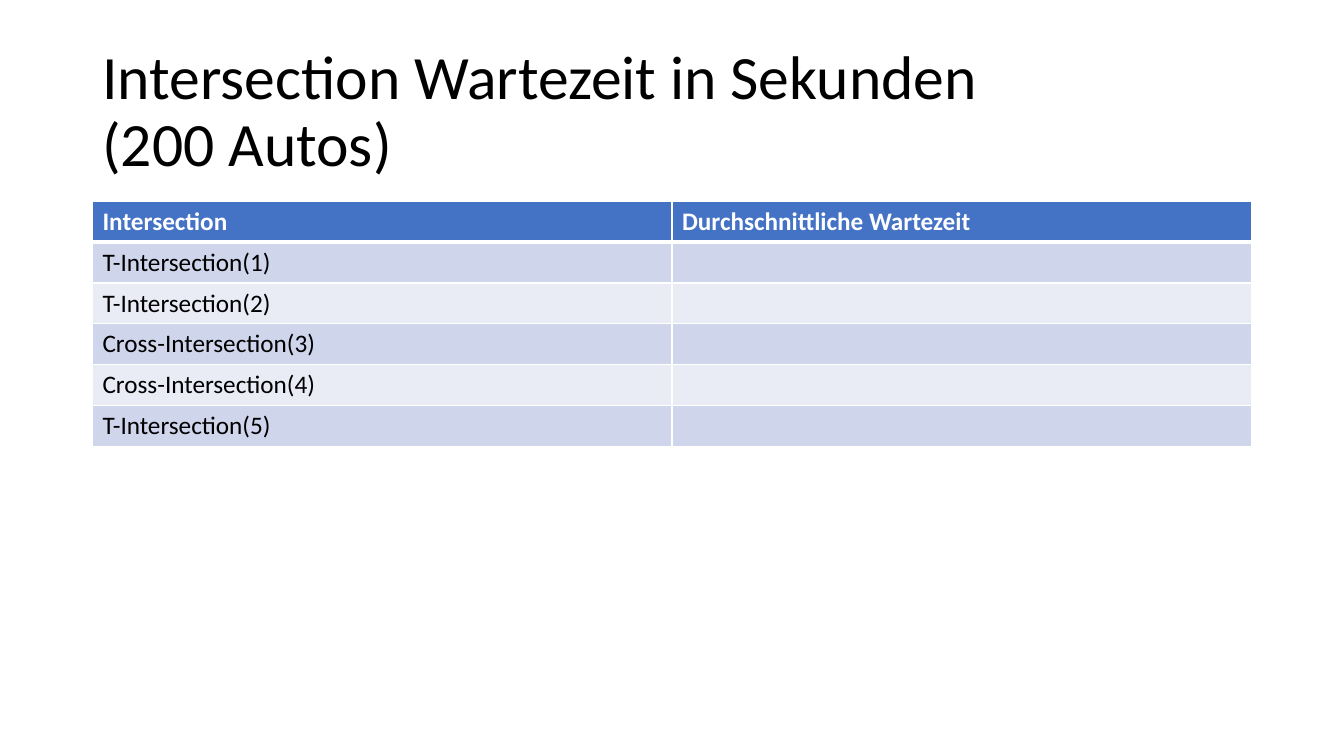
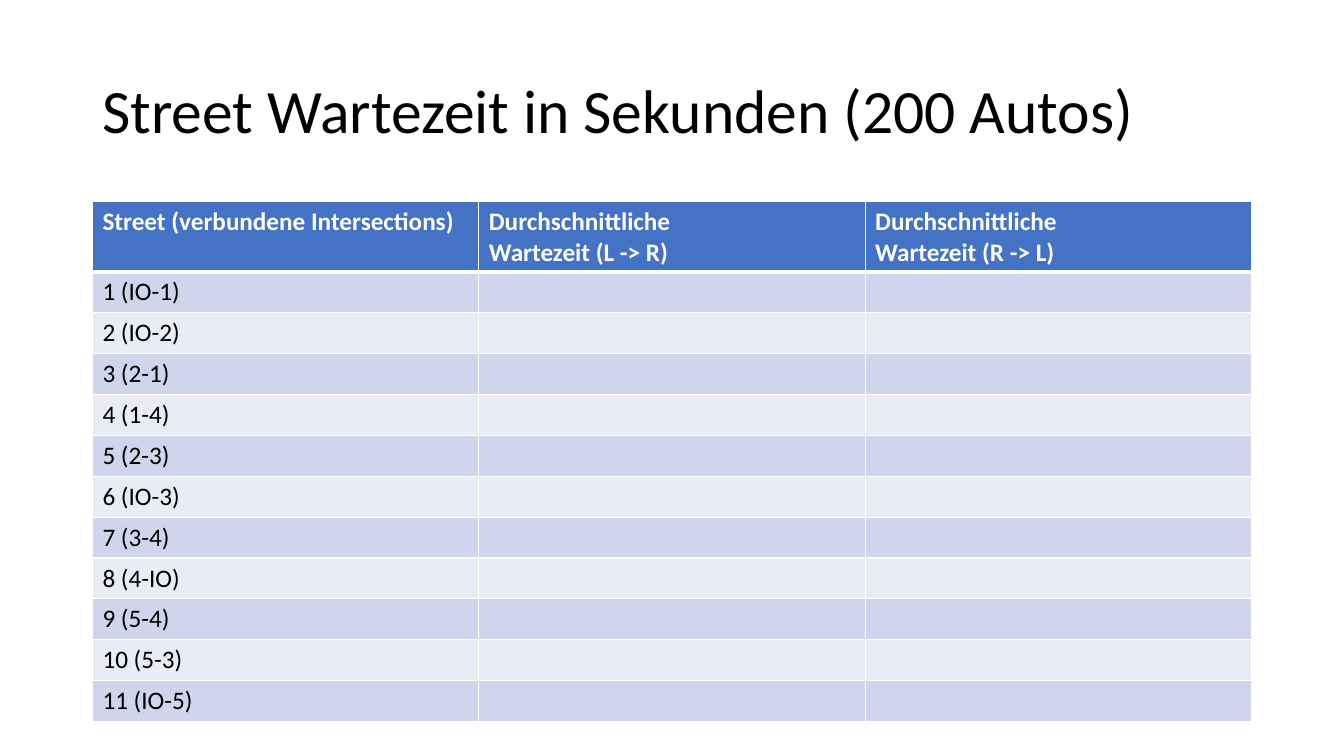
from lxml import etree
from pptx import Presentation
from pptx import util as u
from pptx.dml.color import RGBColor
from pptx.enum import text
from pptx.oxml import ns

BLACK = RGBColor(0x00, 0x00, 0x00)
WHITE = RGBColor(0xFF, 0xFF, 0xFF)
BLUE = RGBColor(0x44, 0x72, 0xC4)
BANDS = [RGBColor(0xE9, 0xEB, 0xF5), RGBColor(0xCF, 0xD5, 0xEA)]

TITLE = {"name": "Calibri", "size": u.Pt(44), "bold": False}
HEADER = {"name": "Calibri", "size": u.Pt(18), "bold": True}
BODY = {**HEADER, "bold": False}

LEFT, WIDTH = u.Cm(2.33), u.Cm(29.21)
ROW = u.Cm(1.03)

SLIDES = [
    {
        "title": "Intersection Wartezeit in Sekunden\v(200 Autos)",
        "header": ["Intersection", "Durchschnittliche Wartezeit"],
        "header_height": ROW,
        "rows": ["T-Intersection(1)", "T-Intersection(2)", "Cross-Intersection(3)",
                 "Cross-Intersection(4)", "T-Intersection(5)"],
    },
    {
        "title": "Street Wartezeit in Sekunden (200 Autos)",
        "header": ["Street (verbundene Intersections)",
                   "Durchschnittliche\vWartezeit (L -> R)",
                   "Durchschnittliche\vWartezeit (R -> L)"],
        "header_height": u.Cm(1.78),
        "rows": ["1 (IO-1)", "2 (IO-2)", "3 (2-1)", "4 (1-4)", "5 (2-3)", "6 (IO-3)",
                 "7 (3-4)", "8 (4-IO)", "9 (5-4)", "10 (5-3)", "11 (IO-5)"],
    },
]


def write(tf, words, fmt, color):
    p = tf.paragraphs[0]
    p.text = words
    for r in p.runs:
        for key, value in fmt.items():
            setattr(r.font, key, value)
        r.font.color.rgb = color
    return p


def add_borders(cell, widths):
    tcPr = cell._tc.get_or_add_tcPr()
    for side, width in widths.items():
        ln = etree.SubElement(tcPr, ns.qn("a:ln" + side), w=str(u.Pt(width)))
        fill = etree.SubElement(ln, ns.qn("a:solidFill"))
        etree.SubElement(fill, ns.qn("a:srgbClr"), val=str(WHITE))


prs = Presentation()
prs.slide_width, prs.slide_height = u.Cm(33.87), u.Cm(19.05)

for data in SLIDES:
    s = prs.slides.add_slide(prs.slide_layouts[6])

    tf = s.shapes.add_textbox(LEFT, u.Cm(1.01), WIDTH, u.Cm(3.68)).text_frame
    tf.word_wrap = True
    tf.vertical_anchor = text.MSO_ANCHOR.MIDDLE
    p = write(tf, data["title"], TITLE, BLACK)
    p.line_spacing = 0.9

    header, rows = data["header"], data["rows"]
    height = data["header_height"] + ROW * len(rows)
    table = s.shapes.add_table(len(rows) + 1, len(header), LEFT, u.Cm(5.07),
                               WIDTH, height).table
    grid = [header] + [[name] + [""] * (len(header) - 1) for name in rows]
    for i, words in enumerate(grid):
        table.rows[i].height = ROW if i else data["header_height"]
        fmt, color, fill = (BODY, BLACK, BANDS[i % 2]) if i else (HEADER, WHITE, BLUE)
        for j, word in enumerate(words):
            cell = table.cell(i, j)
            add_borders(cell, {"L": 1, "R": 1, "T": 3 if i == 1 else 1, "B": 1 if i else 3})
            cell.fill.solid()
            cell.fill.fore_color.rgb = fill
            write(cell.text_frame, word, fmt, color)

prs.save("out.pptx")
